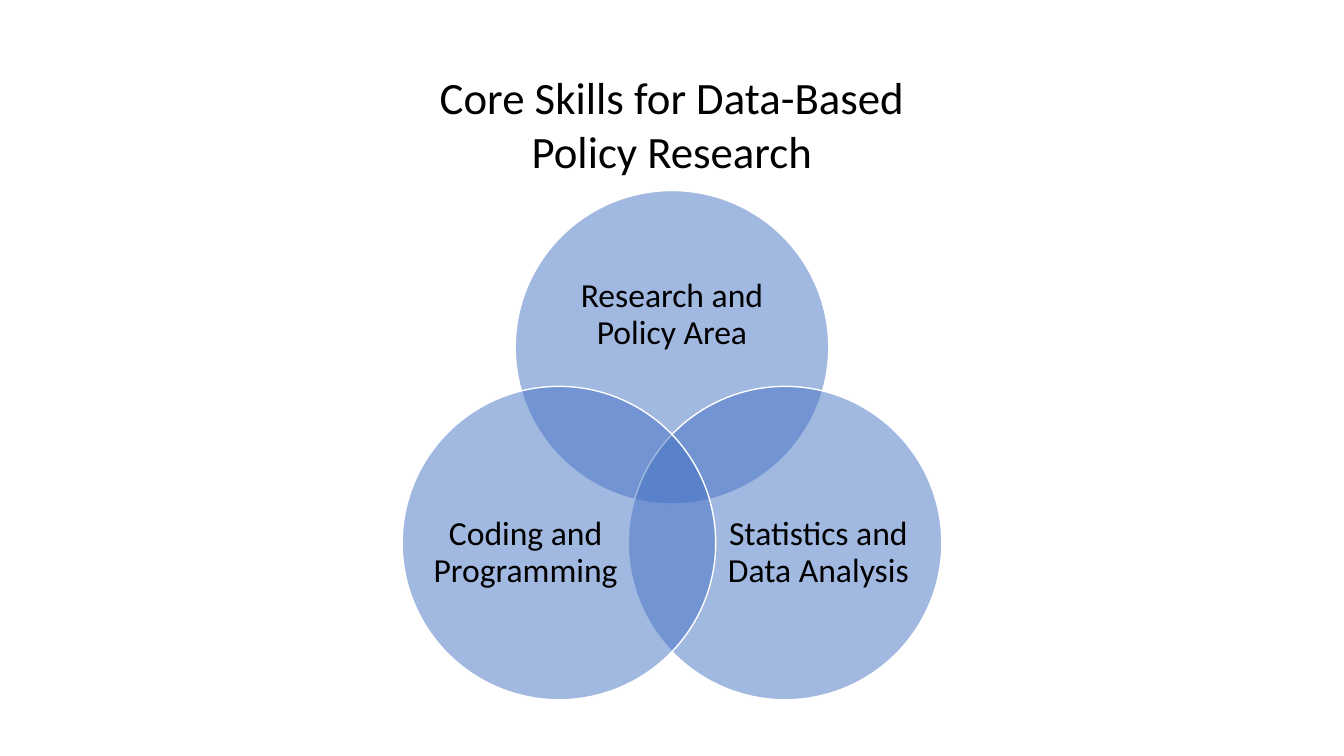
from math import cos, radians, sin

from lxml import etree
from pptx import Presentation
from pptx.dml.color import RGBColor
from pptx.enum.shapes import MSO_SHAPE
from pptx.enum.text import MSO_ANCHOR, MSO_AUTO_SIZE, PP_ALIGN
from pptx.oxml.ns import qn
from pptx.util import Inches, Pt

OVAL = MSO_SHAPE.OVAL
MIDDLE, TOP = MSO_ANCHOR.MIDDLE, MSO_ANCHOR.TOP
CENTER = PP_ALIGN.CENTER
NO_FIT = MSO_AUTO_SIZE.NONE

BLUE = RGBColor(0x44, 0x72, 0xC4)
WHITE = RGBColor(0xFF, 0xFF, 0xFF)
BLACK = RGBColor(0, 0, 0)
FONT = "Calibri"

WIDTH, HEIGHT = 13.33, 7.5
MID_X, MID_Y = WIDTH / 2, 4.74  # centre of the three circles
ORBIT = 1.295  # from that centre to each circle's centre
SIZE = 3.11

# skill, angle on the orbit, label shift from circle centre, label size
SKILLS = [
    ("Research and Policy Area", -90, (0, -0.32), (2.28, 1.4)),
    ("Statistics and Data Analysis", 30, (0.33, 0.1), (1.87, 1.71)),
    ("Coding and Programming", 150, (-0.33, 0.1), (1.87, 1.71)),
]


def box(x, y, width, height):
    """Left, top, width and height of a box centred on x, y."""
    return [Inches(v) for v in (x - width / 2, y - height / 2, width, height)]


def style(para, size):
    para.alignment = CENTER
    para.font.name = FONT
    para.font.size = Pt(size)
    para.font.color.rgb = BLACK


def add_title(slide, text):
    title = slide.shapes.title
    title.left, title.top, title.width, title.height = box(MID_X, 1.23, 5.47, 1.18)
    frame = title.text_frame
    frame.text = text
    frame.word_wrap = True
    frame.auto_size = NO_FIT
    frame.vertical_anchor = TOP
    style(frame.paragraphs[0], 32)


def add_circle(slide, x, y):
    circle = slide.shapes.add_shape(OVAL, *box(x, y, SIZE, SIZE))
    circle.shadow.inherit = False
    circle.fill.solid()
    circle.fill.fore_color.rgb = BLUE
    color = circle.fill._xPr.find(qn("a:solidFill"))[0]
    etree.SubElement(color, qn("a:alpha"), val="50000")
    circle.line.color.rgb = WHITE
    circle.line.width = Pt(1)


def add_label(slide, text, x, y, size):
    frame = slide.shapes.add_textbox(*box(x, y, *size)).text_frame
    frame.text = text
    frame.word_wrap = True
    frame.vertical_anchor = MIDDLE
    frame.margin_left = frame.margin_right = 0
    frame.margin_top = frame.margin_bottom = 0
    para = frame.paragraphs[0]
    para.line_spacing = 0.9
    style(para, 24)


def main():
    deck = Presentation()
    deck.slide_width, deck.slide_height = Inches(WIDTH), Inches(HEIGHT)
    slide = deck.slides.add_slide(deck.slide_layouts[5])
    add_title(slide, "Core Skills for Data-Based Policy Research")
    for text, angle, (dx, dy), size in SKILLS:
        x = MID_X + ORBIT * cos(radians(angle))
        y = MID_Y + ORBIT * sin(radians(angle))
        add_circle(slide, x, y)
        add_label(slide, text, x + dx, y + dy, size)
    deck.save("out.pptx")


if __name__ == "__main__":
    main()
